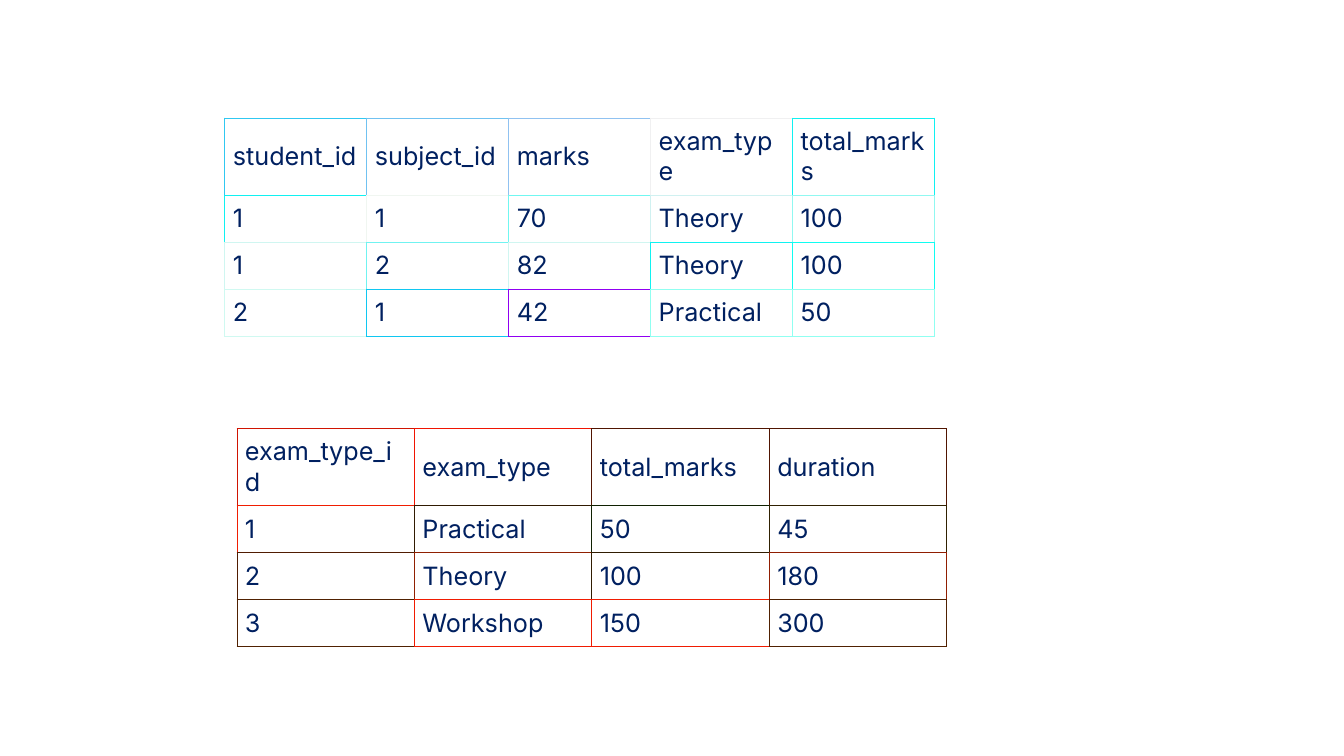
import pptx
import pptx.dml.color
import pptx.enum.text
import pptx.oxml
import pptx.oxml.ns
import pptx.util
from dataclasses import dataclass
from pptx.util import Inches


@dataclass(frozen=True)
class Theme:
    font: str = "Inter"
    size: int = 18
    ink: str = "002060"
    paper: str = "FFFFFF"
    border_width: float = 0.6


theme = Theme()


def write(cell, text, *, size, color, font):
    run = cell.text_frame.paragraphs[0].add_run()
    run.text = text
    run.font.size = pptx.util.Pt(size)
    run.font.name = font
    run.font.color.rgb = pptx.dml.color.RGBColor.from_string(color)


def draw_borders(cell, sides):
    properties = cell.fill._xPr
    for position, (side, color) in enumerate(sides):
        line = pptx.oxml.parse_xml(
            f'<a:ln{side} {pptx.oxml.ns.nsdecls("a")} w="{pptx.util.Pt(theme.border_width)}">'
            f'<a:solidFill><a:srgbClr val="{color}"/></a:solidFill></a:ln{side}>')
        properties.insert(position, line)


# Records: place, rows of text, and the border colour that each cell owns
marks = dict(
    left=2.23, top=1.17,
    rows=[
        ["student_id", "subject_id", "marks", "exam_type", "total_marks"],
        ["1", "1", "70", "Theory", "100"],
        ["1", "2", "82", "Theory", "100"],
        ["2", "1", "42", "Practical", "50"],
    ],
    borders=[
        ["30C8F1", "70C2F1", "90C2F1", "F0F0F1", "10F1F1"],
        ["10F1F1", "F0F6F1", "70F7F1", "D0F1F1", "90F8F1"],
        ["D0F6F1", "70F3F1", "D0F6F1", "10F2F1", "10FDF1"],
        ["D0F9F1", "10C7F1", "9000F2", "90FFF1", "90FFF1"],
    ])
exam_types = dict(
    left=2.35, top=4.25,
    rows=[
        ["exam_type_id", "exam_type", "total_marks", "duration"],
        ["1", "Practical", "50", "45"],
        ["2", "Theory", "100", "180"],
        ["3", "Workshop", "150", "300"],
    ],
    borders=[
        ["D01401", "F01401", "501501", "501501"],
        ["F01E01", "301A01", "102101", "302101"],
        ["501C01", "902001", "301D01", "901E01"],
        ["502101", "F01B01", "F01B01", "502101"],
    ])

# Slide
deck = pptx.Presentation()
deck.slide_width, deck.slide_height = Inches(13.33), Inches(7.5)
slide = deck.slides.add_slide(deck.slide_layouts[6])

# Tables
for record in (marks, exam_types):
    rows, borders = record["rows"], record["borders"]
    last_row, last_column = len(rows) - 1, len(rows[0]) - 1
    grid = slide.shapes.add_table(
        len(rows), len(rows[0]), Inches(record["left"]), Inches(record["top"]),
        Inches(7.04), Inches(1.87)).table
    grid.first_row = grid.horz_banding = False

    for r, row in enumerate(rows):
        for c, text in enumerate(row):
            cell = grid.cell(r, c)
            cell.vertical_anchor = pptx.enum.text.MSO_ANCHOR.MIDDLE
            cell.margin_left = cell.margin_right = Inches(0.08)
            cell.margin_top = cell.margin_bottom = Inches(0.08)
            cell.fill.solid()
            cell.fill.fore_color.rgb = pptx.dml.color.RGBColor.from_string(theme.paper)
            write(cell, text, size=theme.size, color=theme.ink, font=theme.font)

            # Left and top are the cell's own; right and bottom follow the neighbours
            own = borders[r][c]
            draw_borders(cell, [
                ("L", own),
                ("R", borders[r][min(c + 1, last_column)]),
                ("T", own),
                ("B", borders[min(r + 1, last_row)][c]),
            ])

deck.save("out.pptx")
